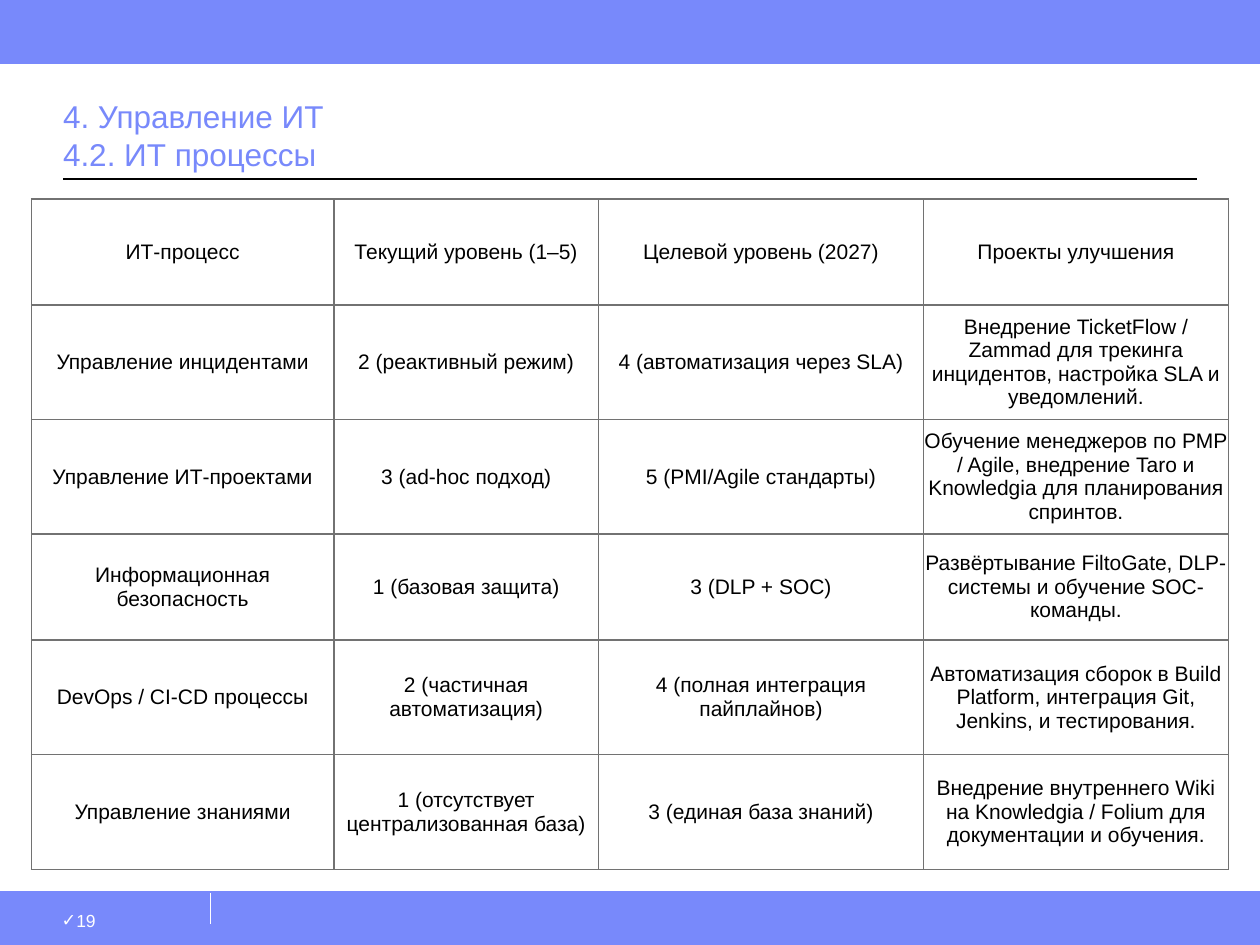
"""Build the slide on IT process maturity levels and improvement projects."""
from dataclasses import dataclass

import lxml.etree
import pptx
import pptx.dml.color
import pptx.enum.shapes
import pptx.enum.text
import pptx.oxml
import pptx.oxml.ns
import pptx.util

Inches = pptx.util.Inches
Pt = pptx.util.Pt
Align = pptx.enum.text.PP_ALIGN
Anchor = pptx.enum.text.MSO_ANCHOR
qn = pptx.oxml.ns.qn


@dataclass(frozen=True)
class Theme:
    accent: str = "7889FB"
    paper: str = "FFFFFF"
    ink: str = "000000"
    grid: str = "727272"
    font: str = "Arial"
    title_size: int = 18
    cell_size: int = 12
    number_size: int = 10


THEME = Theme()
COLUMN_WIDTHS = [2.4, 2.1, 2.58, 2.42]
ROW_HEIGHTS = [0.84, 0.91, 0.91, 0.84, 0.91, 0.91]
PROCESSES = [
    ["ИТ-процесс", "Текущий уровень (1–5)", "Целевой уровень (2027)", "Проекты улучшения"],
    ["Управление инцидентами", "2 (реактивный режим)", "4 (автоматизация через SLA)",
     "Внедрение TicketFlow / Zammad для трекинга инцидентов, настройка SLA и уведомлений."],
    ["Управление ИТ-проектами", "3 (ad-hoc подход)", "5 (PMI/Agile стандарты)",
     "Обучение менеджеров по PMP / Agile, внедрение Taro и Knowledgia для планирования спринтов."],
    ["Информационная безопасность", "1 (базовая защита)", "3 (DLP + SOC)",
     "Развёртывание FiltoGate, DLP-системы и обучение SOC-команды."],
    ["DevOps / CI-CD процессы", "2 (частичная автоматизация)", "4 (полная интеграция пайплайнов)",
     "Автоматизация сборок в Build Platform, интеграция Git, Jenkins, и тестирования."],
    ["Управление знаниями", "1 (отсутствует централизованная база)", "3 (единая база знаний)",
     "Внедрение внутреннего Wiki на Knowledgia / Folium для документации и обучения."],
]


def rgb(value):
    """Turn a hex string into a colour."""
    return pptx.dml.color.RGBColor.from_string(value)


def write(frame, text, *, size, color, align=Align.LEFT, anchor=Anchor.TOP,
          insets=(0, 0, 0, 0), bullet=None):
    """Fill a text frame with one formatted paragraph."""
    frame.word_wrap = True
    frame.auto_size = pptx.enum.text.MSO_AUTO_SIZE.NONE
    frame.vertical_anchor = anchor
    (frame.margin_left, frame.margin_top,
     frame.margin_right, frame.margin_bottom) = map(Inches, insets)
    paragraph = frame.paragraphs[0]
    paragraph.text = text
    paragraph.alignment = align
    if bullet:
        properties = paragraph._p.get_or_add_pPr()
        properties.set("marL", "0")
        properties.set("indent", "0")
        lxml.etree.SubElement(properties, qn("a:buFont")).set("typeface", THEME.font)
        lxml.etree.SubElement(properties, qn("a:buChar")).set("char", bullet)
    for run in paragraph.runs:
        run.font.name = THEME.font
        run.font.size = Pt(size)
        run.font.bold = False
        run.font.color.rgb = rgb(color)


def add_band(slide, top, height):
    """Draw a full-width accent band."""
    band = slide.shapes.add_shape(pptx.enum.shapes.MSO_SHAPE.RECTANGLE,
                                  0, Inches(top), Inches(10), Inches(height))
    band.shadow.inherit = False
    band.fill.solid()
    band.fill.fore_color.rgb = rgb(THEME.accent)
    band.line.color.rgb = rgb(THEME.accent)
    band.line.width = Pt(0.75)


def add_rule(slide, start, end, color, width):
    """Draw a straight line without a shadow."""
    rule = slide.shapes.add_connector(pptx.enum.shapes.MSO_CONNECTOR.STRAIGHT,
                                      *map(Inches, start + end))
    rule.line.color.rgb = rgb(color)
    rule.line.width = Pt(width)
    lxml.etree.SubElement(rule._element.spPr, qn("a:effectLst"))


def add_title(slide, text):
    """Place and format the title placeholder."""
    title = slide.shapes.title
    title.left, title.top, title.width, title.height = map(Inches, (0.5, 0.5, 9, 0.92))
    write(title.text_frame, text, size=THEME.title_size, color=THEME.accent,
          anchor=Anchor.BOTTOM, insets=(0, 0.05, 0, 0.05))


def add_page_number(slide, number):
    """Put the page number with its check mark in the footer."""
    box = slide.shapes.add_textbox(*map(Inches, (0.33, 7.15, 1.33, 0.35)))
    write(box.text_frame, number, size=THEME.number_size, color=THEME.paper,
          insets=(0.16, 0.07, 0.1, 0.05), bullet="✓")


def outline_cell(cell):
    """Give a cell a thin grid line on each side."""
    properties = cell._tc.get_or_add_tcPr()
    for position, side in enumerate(("lnL", "lnR", "lnT", "lnB")):
        edge = pptx.oxml.parse_xml(
            f'<a:{side} {pptx.oxml.ns.nsdecls("a")} w="{Pt(1)}"><a:solidFill>'
            f'<a:srgbClr val="{THEME.grid}"/></a:solidFill></a:{side}>')
        properties.insert(position, edge)


def add_process_table(slide):
    """Add the table of processes, levels and projects."""
    table = slide.shapes.add_table(
        len(ROW_HEIGHTS), len(COLUMN_WIDTHS), Inches(0.25), Inches(1.58),
        Inches(sum(COLUMN_WIDTHS)), Inches(sum(ROW_HEIGHTS))).table
    table.first_row = table.horz_banding = False
    for column, width in zip(table.columns, COLUMN_WIDTHS):
        column.width = Inches(width)
    for row, height, texts in zip(table.rows, ROW_HEIGHTS, PROCESSES):
        row.height = Inches(height)
        for cell, text in zip(row.cells, texts):
            write(cell.text_frame, text, size=THEME.cell_size,
                  color=THEME.ink, align=Align.CENTER)
            cell.vertical_anchor = Anchor.MIDDLE
            cell.margin_left = cell.margin_right = cell.margin_top = cell.margin_bottom = 0
            cell.fill.solid()
            cell.fill.fore_color.rgb = rgb(THEME.paper)
            outline_cell(cell)


def main():
    """Build and save the presentation."""
    deck = pptx.Presentation()
    deck.slide_width, deck.slide_height = Inches(10), Inches(7.5)
    slide = deck.slides.add_slide(deck.slide_layouts.get_by_name("Title Only"))
    add_band(slide, 7.08, 0.42)
    add_band(slide, 0, 0.5)
    add_rule(slide, (1.67, 7.33), (1.67, 7.08), THEME.paper, 0.75)
    for edge in (0.42, 7.08):
        add_rule(slide, (0, edge), (10, edge), THEME.accent, 0.5)
    add_rule(slide, (0.5, 1.42), (9.5, 1.42), THEME.ink, 0.75)
    add_page_number(slide, "19")
    add_title(slide, "4. Управление ИТ\n4.2. ИТ процессы")
    add_process_table(slide)
    deck.save("out.pptx")


if __name__ == "__main__":
    main()
